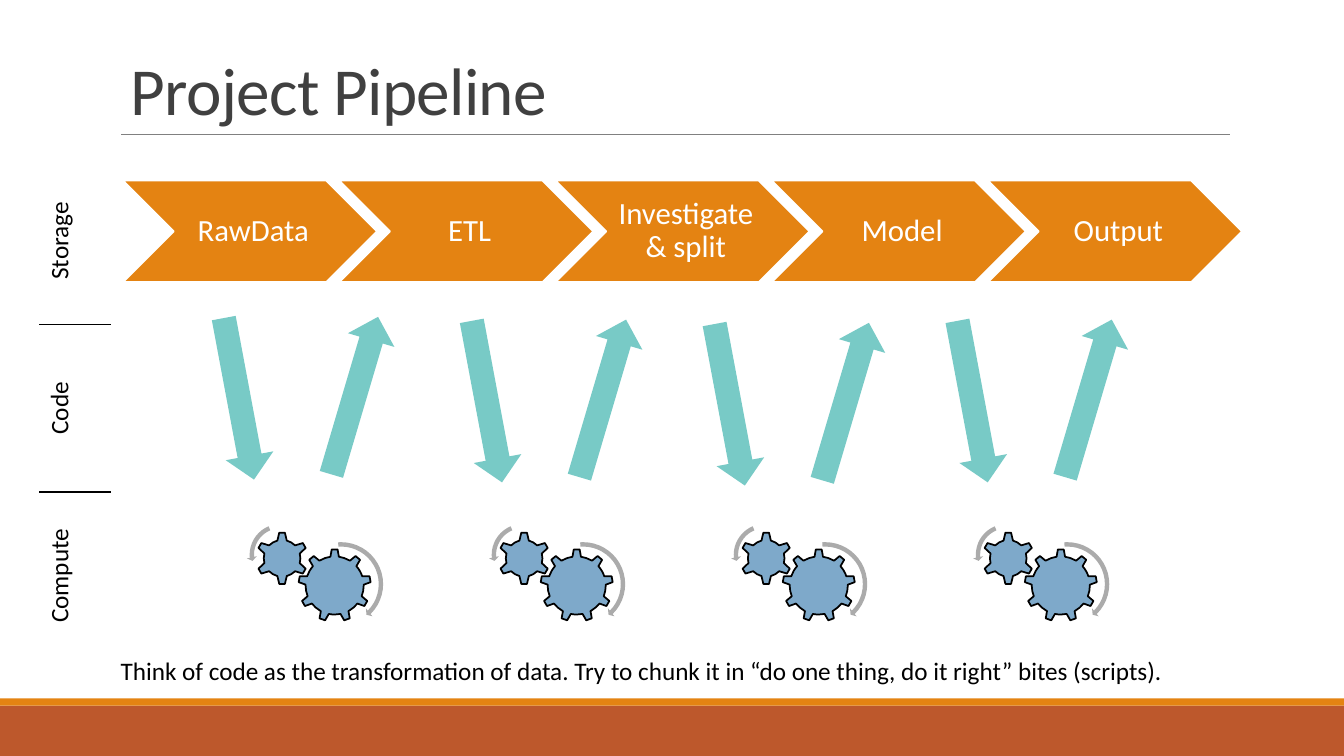
"""Build the Project Pipeline slide: data stages above, scripts between, computation below."""
from lxml import etree
from pptx import Presentation
from pptx.dml.color import RGBColor
from pptx.enum import shapes, text
from pptx.oxml import ns
from pptx.util import Cm, Pt

FONT = "Calibri"
WHITE = RGBColor(0xFF, 0xFF, 0xFF)
BLACK = RGBColor(0, 0, 0)
TITLE_GREY = RGBColor(0x40, 0x40, 0x40)
RULE_GREY = RGBColor(0x80, 0x80, 0x80)
ARC_GREY = RGBColor(0xAB, 0xAB, 0xAB)
ORANGE = RGBColor(0xE4, 0x83, 0x12)
RUST = RGBColor(0xBD, 0x58, 0x2C)
GEAR_BLUE = RGBColor(0x7E, 0xA9, 0xCA)
TEAL = RGBColor(0x78, 0xCA, 0xC6)
KIND = shapes.MSO_SHAPE
MIDDLE = text.MSO_ANCHOR.MIDDLE
CENTER = text.PP_ALIGN.CENTER

TITLE = "Project Pipeline"
STAGES = ["RawData", "ETL", "Investigate & split", "Model", "Output"]
LAYERS = ["Storage", "Code", "Compute"]
TAKEAWAY = ("Think of code as the transformation of data. Try to chunk it in "
            "“do one thing, do it right” bites (scripts).")

SLIDE_WIDTH, SLIDE_HEIGHT = 33.87, 19.05
BARS = [(17.78, 1.27, RUST), (17.6, 0.18, ORANGE)]
STAGE_LEFT, STAGE_TOP, STAGE_PITCH = 3.1, 4.55, 5.45
STAGE_SIZE = (6.4, 2.56)
GEAR_PITCH = 6.1
GEAR_PARTS = [
    (KIND.GEAR_9, 7.52, 13.84, 1.83, GEAR_BLUE, BLACK, ()),
    (KIND.GEAR_6, 6.45, 13.41, 1.32, GEAR_BLUE, BLACK, ()),
    (KIND.CIRCULAR_ARROW, 7.47, 13.59, 2.26, ARC_GREY, None,
     (0.049, 3.126, 27.154, 159.454, 0.057)),
    (KIND.LEFT_CIRCULAR_ARROW, 6.22, 13.13, 1.7, ARC_GREY, None,
     (0.065, 4.3, 104.891, 148.378, 0.075)),
]
DOWN_ARROWS = [(5.41, 7.98), (11.66, 8.05), (17.78, 8.13), (23.9, 8.05)]
UP_SHIFT = (2.92, -0.08)
ARROW_SIZE = (1.22, 4.14)
LAYER_LEFT, LAYER_TOP, LAYER_WIDTH, LAYER_HEIGHT = 0.99, 3.96, 1.8, 4.22
PLAIN_TABLE = "{2D5ABB26-0587-4C30-8999-92F81FD0307C}"


def write(frame, words, size, color, align=text.PP_ALIGN.LEFT, spacing=1.0, tracking=0):
    """Put one formatted paragraph into a text frame."""
    paragraph = frame.paragraphs[0]
    paragraph.alignment = align
    paragraph.line_spacing = spacing
    run = paragraph.add_run()
    run.text = words
    run.font.name, run.font.size = FONT, Pt(size)
    run.font.color.rgb = color
    if tracking:
        run._r.get_or_add_rPr().set("spc", str(int(tracking * 100)))


def add_text(slide, box, words, anchor=text.MSO_ANCHOR.TOP, **style):
    """Add a wrapping text box."""
    frame = slide.shapes.add_textbox(*map(Cm, box)).text_frame
    frame.word_wrap = True
    frame.vertical_anchor = anchor
    write(frame, words, **style)


def add_figure(slide, kind, box, fill, line=None, rotation=0, adjustments=()):
    """Add a flat preset shape."""
    shape = slide.shapes.add_shape(kind, *map(Cm, box))
    shape.shadow.inherit = False
    shape.fill.solid()
    shape.fill.fore_color.rgb = fill
    if line is None:
        shape.line.fill.background()
    else:
        shape.line.color.rgb = line
        shape.line.width = Pt(1.25)
    shape.rotation = rotation
    for index, value in enumerate(adjustments):
        shape.adjustments[index] = value
    return shape


def add_rule(slide, left, right, top):
    """Add the thin rule below the title."""
    rule = slide.shapes.add_connector(
        shapes.MSO_CONNECTOR.STRAIGHT, Cm(left), Cm(top), Cm(right), Cm(top))
    rule.line.color.rgb = RULE_GREY
    rule.line.width = Pt(0.5)
    etree.SubElement(rule._element.spPr, ns.qn("a:effectLst"))


def add_border(properties, side, position):
    """Draw one black edge of a table cell."""
    edge = etree.Element(ns.qn(f"a:{side}"), w=str(Pt(1)))
    fill = etree.SubElement(edge, ns.qn("a:solidFill"))
    etree.SubElement(fill, ns.qn("a:srgbClr"), val=str(BLACK))
    properties.insert(position, edge)


def add_layers(slide):
    """Add the column of rotated layer names."""
    table = slide.shapes.add_table(
        len(LAYERS), 1, Cm(LAYER_LEFT), Cm(LAYER_TOP),
        Cm(LAYER_WIDTH), Cm(LAYER_HEIGHT * len(LAYERS))).table
    table.first_row = table.horz_banding = False
    table._tbl.tblPr.find(ns.qn("a:tableStyleId")).text = PLAIN_TABLE
    for row, layer in enumerate(LAYERS):
        cell = table.cell(row, 0)
        cell.fill.background()
        cell.vertical_anchor = MIDDLE
        cell.margin_left = cell.margin_right = Cm(0.2)
        write(cell.text_frame, layer, size=18, color=BLACK, align=CENTER)
        properties = cell._tc.get_or_add_tcPr()
        properties.set("vert", "vert270")
        sides = ["lnT"] * (row > 0) + ["lnB"] * (row < len(LAYERS) - 1)
        for position, side in enumerate(sides):
            add_border(properties, side, position)


def main():
    """Assemble and save the slide."""
    presentation = Presentation()
    presentation.slide_width, presentation.slide_height = Cm(SLIDE_WIDTH), Cm(SLIDE_HEIGHT)
    slide = presentation.slides.add_slide(presentation.slide_layouts[6])

    for top, height, color in BARS:
        add_figure(slide, KIND.RECTANGLE, (0, top, SLIDE_WIDTH, height), color)
    add_rule(slide, 3.05, 30.99, 3.38)
    add_text(slide, (3.05, 0.58, 27.94, 2.8), TITLE, anchor=text.MSO_ANCHOR.BOTTOM,
             size=48, color=TITLE_GREY, spacing=0.85, tracking=-0.5)

    for index, stage in enumerate(STAGES):
        box = (STAGE_LEFT + index * STAGE_PITCH, STAGE_TOP, *STAGE_SIZE)
        frame = add_figure(slide, KIND.CHEVRON, box, ORANGE, WHITE).text_frame
        frame.word_wrap = True
        frame.vertical_anchor = MIDDLE
        frame.margin_left = Cm(0.25)
        frame.margin_right = frame.margin_top = frame.margin_bottom = Cm(0.08)
        write(frame, stage, size=22, color=WHITE, align=CENTER, spacing=0.9)

    for index, (left, top) in enumerate(DOWN_ARROWS):
        for kind, part_left, part_top, size, fill, line, adjustments in GEAR_PARTS:
            box = (part_left + index * GEAR_PITCH, part_top, size, size)
            add_figure(slide, kind, box, fill, line, adjustments=adjustments)
        up_box = (left + UP_SHIFT[0], top + UP_SHIFT[1], *ARROW_SIZE)
        add_figure(slide, KIND.UP_ARROW, up_box, TEAL, rotation=16.5)
        add_figure(slide, KIND.DOWN_ARROW, (left, top, *ARROW_SIZE), TEAL, rotation=349.4)

    add_layers(slide)
    add_text(slide, (2.79, 16.38, 26.9, 1.02), TAKEAWAY, size=18, color=BLACK)
    presentation.save("out.pptx")


if __name__ == "__main__":
    main()
